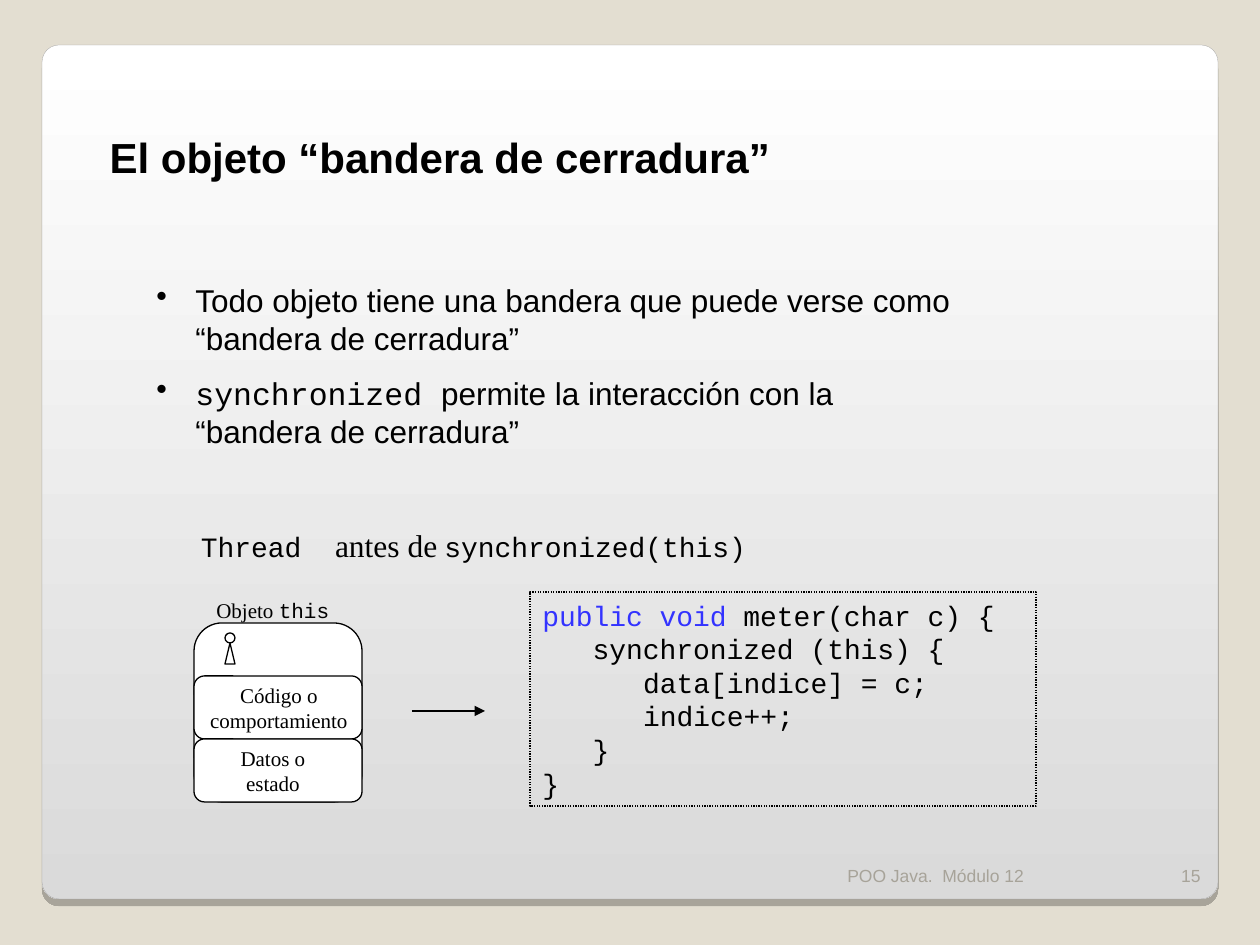
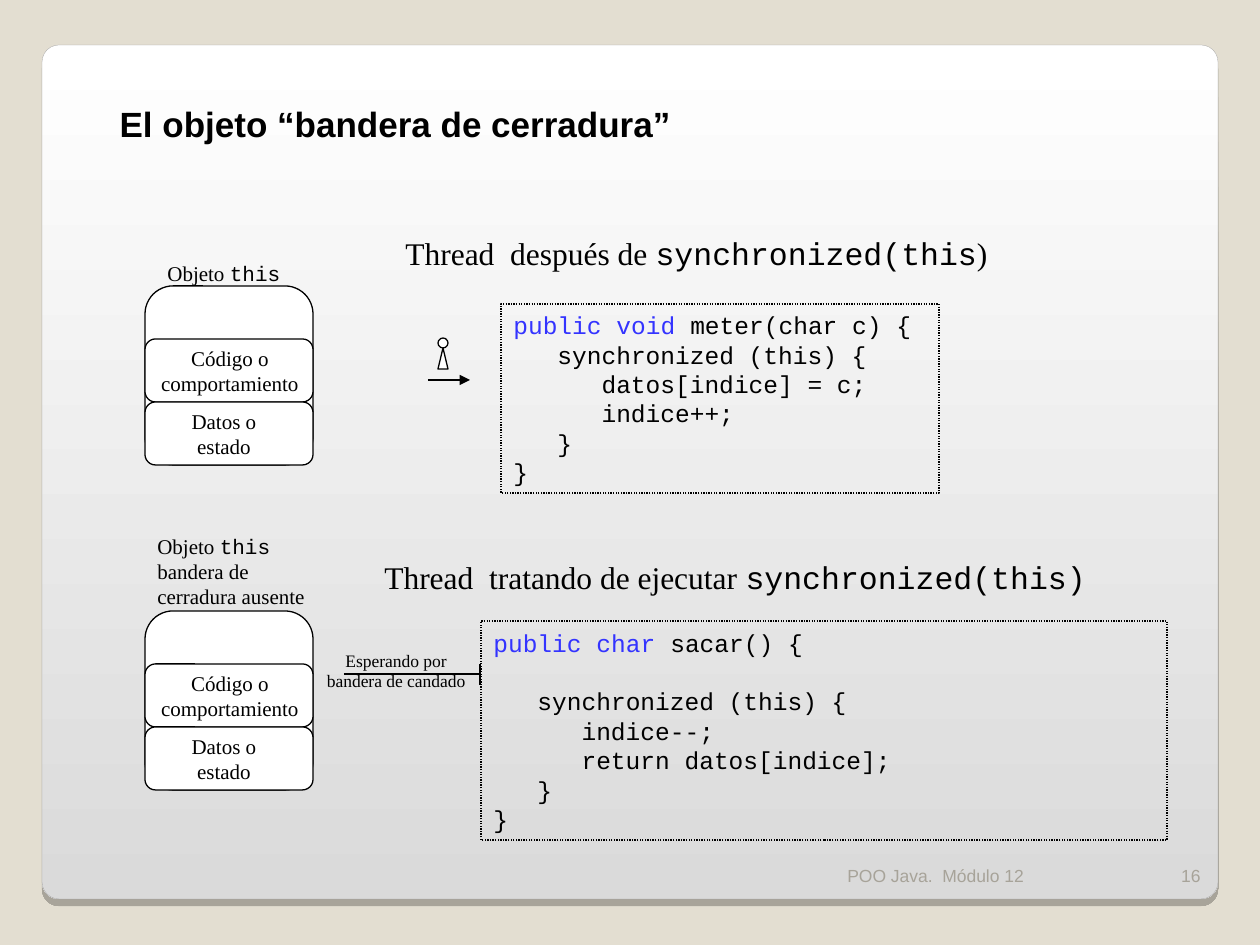
import pptx
import pptx.util
import pptx.dml.color
import pptx.enum.dml
import pptx.enum.shapes
import pptx.enum.text
import pptx.oxml
import pptx.oxml.ns

Pt = pptx.util.Pt
KIND = pptx.enum.shapes.MSO_SHAPE
ALIGN = pptx.enum.text.PP_ALIGN
ANCHOR = pptx.enum.text.MSO_ANCHOR

SAND, MUTED, EDGE = "E3DED1", "A7A399", "A4A3A3"
BLACK, WHITE, GREY, BLUE = "000000", "FFFFFF", "DADADA", "3333FF"
SANS, MONO, SERIF = "Arial", "Courier New", "Times New Roman"
TITLE = "El objeto “bandera de cerradura”"
LEAD = 1.2  # line height over text size


def emu(px):
    return round(px * 914400 / 126)


def color(text):
    return pptx.dml.color.RGBColor.from_string(text)


def parse(tag, inner="", **attrs):
    """Make one element of the drawing namespace."""
    pairs = " ".join(f'{key}="{val}"' for key, val in attrs.items())
    space = pptx.oxml.ns.nsdecls("a")
    return pptx.oxml.parse_xml(f"<a:{tag} {space} {pairs}>{inner}</a:{tag}>")


def indent(par, left, first=0):
    props = par._p.get_or_add_pPr()
    props.set("marL", str(emu(left)))
    props.set("indent", str(emu(first)))


def write(par, runs, size, hue=BLACK, align=ALIGN.LEFT, bold=False):
    """Fill a paragraph with runs of (text, font[, size[, colour]])."""
    par.alignment = align
    par.line_spacing = Pt(LEAD * max([size] + [r[2] for r in runs if len(r) > 2]))
    for text, font, *more in runs:
        run = par.add_run()
        run.text = text
        run.font.name = font
        run.font.size = Pt(more[0] if more else size)
        run.font.color.rgb = color(more[1] if len(more) > 1 else hue)
        run.font.bold = bold


def frame(shape, anchor):
    body = shape.text_frame
    body.word_wrap = True
    body.auto_size = pptx.enum.text.MSO_AUTO_SIZE.NONE
    body.vertical_anchor = anchor
    return body


def label(shapes, box, lines, size, anchor=ANCHOR.MIDDLE, **style):
    """Add a text box with one list of runs for each paragraph."""
    body = frame(shapes.add_textbox(*map(emu, box)), anchor)
    for num, runs in enumerate(lines):
        par = body.add_paragraph() if num else body.paragraphs[0]
        write(par, runs, size, **style)
    return body


def shape(shapes, kind, box, fill=WHITE):
    item = shapes.add_shape(kind, *map(emu, box))
    item.shadow.inherit = False
    if fill:
        item.fill.solid()
        item.fill.fore_color.rgb = color(fill)
    else:
        item.fill.background()
    item.line.color.rgb = color(BLACK)
    item.line.width = Pt(0.75)
    return item


def line(shapes, start, end, arrow=False):
    link = shapes.add_connector(pptx.enum.shapes.MSO_CONNECTOR.STRAIGHT,
                                *map(emu, start + end))
    link.line.color.rgb = color(BLACK)
    link.line.width = Pt(0.75)
    if arrow:
        link.line._get_or_add_ln().append(parse("tailEnd", type="triangle"))
    link._element.spPr.append(parse("effectLst"))


def panel(slide):
    item = shape(slide.shapes, KIND.ROUNDED_RECTANGLE, (42, 45, 1176, 854))
    item.adjustments[0] = 0.02
    item.fill.gradient()
    item.fill.gradient_angle = 270
    for stop, hue in zip(item.fill.gradient_stops, (WHITE, GREY)):
        stop.color.rgb = color(hue)
    item.line.color.rgb = color(EDGE)
    item.line.width = Pt(0.17)
    shade = (f'<a:outerShdw blurRad="0" dist="{Pt(4)}" dir="5400000">'
             f'<a:srgbClr val="{BLACK}"><a:alpha val="25000"/></a:srgbClr>'
             '</a:outerShdw>')
    props = item._element.spPr
    props.replace(props.find(pptx.oxml.ns.qn("a:effectLst")),
                  parse("effectLst", shade))
    slide.shapes._spTree.insert(2, item._element)  # behind the title


def footer(slide, number):
    parts = (((835, 842, 315, 50), "POO Java.  Módulo 12", ALIGN.LEFT),
             ((1150, 842, 63, 50), str(number), ALIGN.RIGHT))
    for box, text, align in parts:
        label(slide.shapes, box, [[(text, SANS)]], 10, ANCHOR.BOTTOM,
              hue=MUTED, align=align)


def start(deck, number, box, size):
    """Add a slide with panel, title and footer."""
    slide = deck.slides.add_slide(deck.slide_layouts[5])
    panel(slide)
    title = slide.shapes.title
    title.left, title.top, title.width, title.height = map(emu, box)
    par = frame(title, ANCHOR.TOP).paragraphs[0]
    write(par, [(TITLE, SANS)], size, bold=True)
    par.space_before = par.space_after = Pt(5)
    indent(par, 53)
    footer(slide, number)
    return slide


def bullets(slide, box, lines):
    body = label(slide.shapes, box, lines, 18, ANCHOR.TOP)
    for par in body.paragraphs:
        par.space_before = par.space_after = Pt(5)
        indent(par, 39, -39)
        par._p.get_or_add_pPr().append(parse("buChar", char="•"))


def code(slide, box, size, lines):
    """Draw a listing; each line is (level, text, keyword, blank lines above)."""
    item = shape(slide.shapes, KIND.RECTANGLE, box, None)
    item.line.dash_style = pptx.enum.dml.MSO_LINE.ROUND_DOT
    body = frame(item, ANCHOR.MIDDLE)
    for num, (level, text, word, gap) in enumerate(lines):
        par = body.add_paragraph() if num else body.paragraphs[0]
        runs = [(word, MONO, size, BLUE)] if word else []
        write(par, runs + [(text, MONO)], size)
        par.space_before = Pt(gap * LEAD * size)
        # three monospaced characters for each level
        indent(par, level * 3 * 0.6 * size * 126 / 72)


def meter(data):
    return [(0, " meter(char c) {", "public void", 0),
            (1, "synchronized (this) {", "", 0),
            (2, f"{data}[indice] = c;", "", 0),
            (2, "indice++;", "", 0),
            (1, "}", "", 0),
            (0, "}", "", 0)]


def flag(shapes, x, y):
    shape(shapes, KIND.ISOSCELES_TRIANGLE, (x, y + 10, 10, 21))
    shape(shapes, KIND.OVAL, (x, y, 10, 10))


def thing(slide, x, y, absent=False):
    """Draw the object with its two parts and its name above."""
    wide, row = 168, 63
    group = slide.shapes.add_group_shape().shapes
    shape(group, KIND.ROUNDED_RECTANGLE, (x, y, wide, 179))
    tops = [y + 53 + num * row for num in range(2)]
    for top in tops:
        shape(group, KIND.ROUNDED_RECTANGLE, (x, top, wide, row))
    texts = (("Código o comportamiento", -10, 190), ("Datos o estado", 21, 116))
    for top, (text, shift, width) in zip(tops, texts):
        label(group, (x + shift, top, width, row), [[(text, SERIF)]], 12,
              align=ALIGN.CENTER)
    name = [("Objeto ", SERIF), ("this", MONO)]
    if absent:
        label(slide.shapes, (x, y - 84, 199, 88),
              [name, [("bandera de cerradura ausente", SERIF)]], 12)
    else:
        label(group, (x + 10, y - 32, 147, 38), [name], 12)
    return group


def before(deck):
    slide = start(deck, 15, (44, 125, 963, 63), 24)
    bullets(slide, (144, 275, 824, 181), [
        [("Todo objeto tiene una bandera que puede verse como "
          "“bandera de cerradura”", SANS)],
        [("synchronized ", MONO),
         ("permite la interacción con la “bandera de cerradura”", SANS)]])
    label(slide.shapes, (188, 520, 571, 50),
          [[("Thread  ", MONO), ("antes de", SERIF, 18), (" ", SERIF),
            ("synchronized(this)", MONO)]], 16, align=ALIGN.CENTER)
    code(slide, (530, 592, 506, 214), 16, meter("data"))
    group = thing(slide, 194, 623)
    flag(group, 225, 633)
    line(slide.shapes, (412, 711), (485, 711), True)


def after(deck):
    slide = start(deck, 16, (54, 96, 630, 55), 20)
    label(slide.shapes, (336, 228, 721, 50),
          [[("Thread  después de ", SERIF), ("synchronized(this", MONO),
            (")", SERIF)]], 18, align=ALIGN.CENTER)
    code(slide, (501, 304, 438, 189), 14, meter("datos"))
    thing(slide, 145, 286)
    owner = slide.shapes.add_group_shape().shapes
    flag(owner, 438, 338)
    line(owner, (428, 380), (470, 380), True)

    label(slide.shapes, (372, 552, 753, 50),
          [[("Thread  tratando de ejecutar ", SERIF),
            ("synchronized(this)", MONO)]], 18)
    code(slide, (481, 621, 686, 219), 14,
         [(0, " sacar() {", "public char", 0),
          (1, "synchronized (this) {", "", 1),
          (2, "indice--;", "", 0),
          (2, "return datos[indice];", "", 0),
          (1, "}", "", 0),
          (0, "}", "", 0)])
    thing(slide, 145, 611, absent=True)
    label(slide.shapes, (312, 643, 168, 55),
          [[("Esperando por bandera de candado", SERIF)]], 10,
          align=ALIGN.CENTER)
    wait = slide.shapes.add_group_shape().shapes
    line(wait, (344, 674), (480, 674))
    line(wait, (480, 664), (480, 685))


def main():
    deck = pptx.Presentation()
    deck.slide_width, deck.slide_height = emu(1260), emu(945)
    back = deck.slide_master.background.fill
    back.solid()
    back.fore_color.rgb = color(SAND)
    before(deck)
    after(deck)
    deck.save("out.pptx")


if __name__ == "__main__":
    main()
